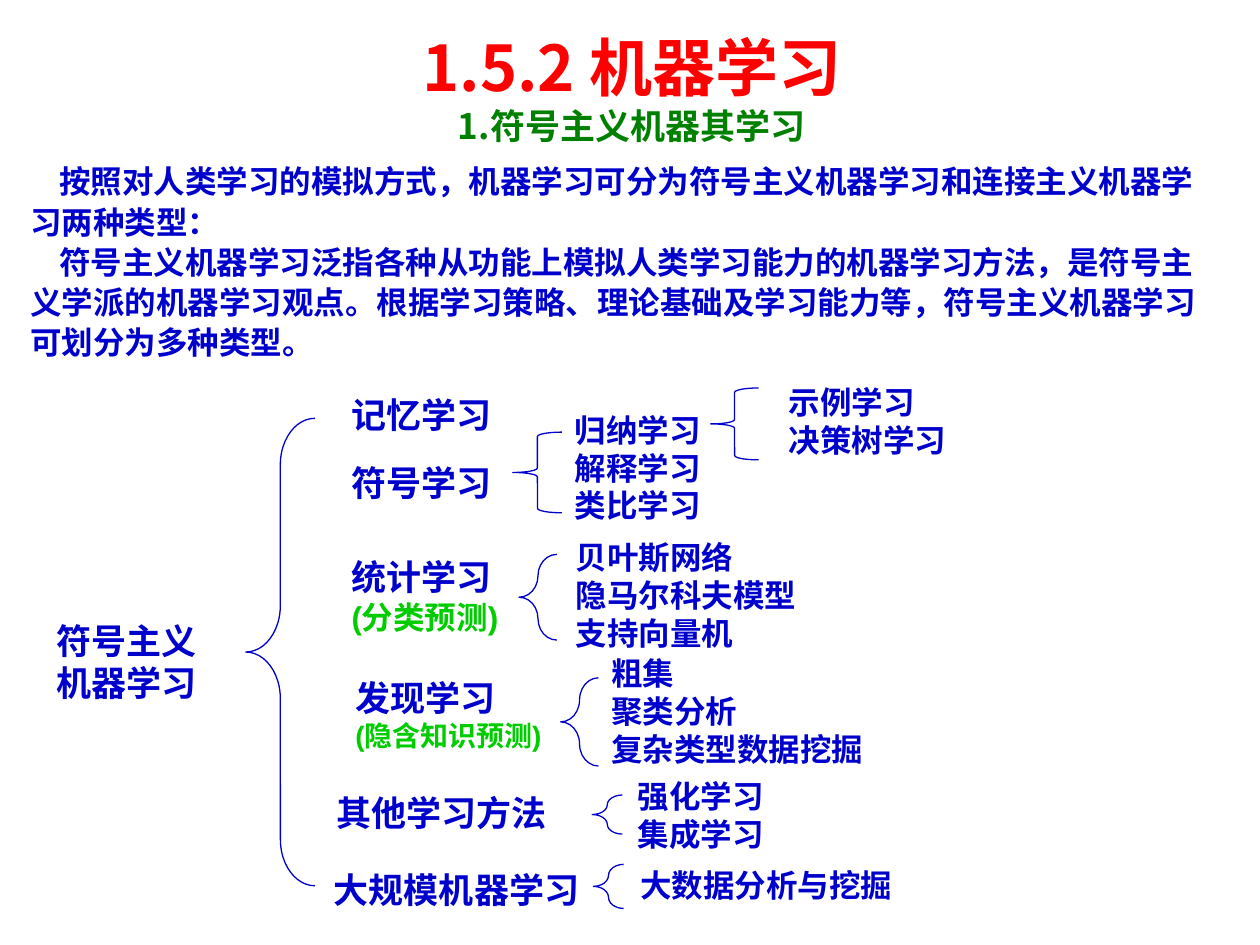
from dataclasses import dataclass

from pptx import Presentation
from pptx.dml.color import RGBColor as RGB
from pptx.enum.shapes import MSO_SHAPE as Shape
from pptx.enum.text import MSO_ANCHOR as Anchor, MSO_AUTO_SIZE as Fit, PP_ALIGN as Align
from pptx.oxml.ns import qn
from pptx.util import Inches, Pt


@dataclass(frozen=True)
class Theme:
    blue: RGB = RGB(0x00, 0x00, 0xCC)
    red: RGB = RGB(0xFF, 0x00, 0x00)
    green: RGB = RGB(0x00, 0x80, 0x00)
    lime: RGB = RGB(0x00, 0xCC, 0x00)
    latin: str = "Arial"
    cjk: str = "Noto Sans CJK SC"
    head: int = 36
    main: int = 20
    body: int = 18
    note: int = 16
    lead: int = 23
    line: float = 0.75


class Deck:
    def __init__(self, theme):
        self.theme = theme
        self.file = Presentation()
        self.file.slide_width = Inches(10)
        self.file.slide_height = Inches(7.5)
        self.slide = self.file.slides.add_slide(self.file.slide_layouts[5])

    def style(self, para, size, color, name):
        for run in para.runs:
            font = run.font
            font.size, font.bold, font.name = Pt(size), True, name
            font.color.rgb = color
            east = run._r.get_or_add_rPr().makeelement(qn("a:ea"), {"typeface": self.theme.cjk})
            font._element.find(qn("a:latin")).addnext(east)

    def frame(self, shape, lines, pad):
        frame = shape.text_frame
        frame.word_wrap = True
        frame.auto_size = Fit.NONE
        frame.vertical_anchor = Anchor.TOP
        frame.margin_left = frame.margin_right = Inches(pad)
        frame.margin_top = frame.margin_bottom = Inches(pad / 2)
        frame.text = "\n".join(lines)
        return frame.paragraphs

    def box(self, x, y, w, h, lines, pad=0.02):
        shape = self.slide.shapes.add_textbox(Inches(x), Inches(y), Inches(w), Inches(h))
        return self.frame(shape, lines, pad)

    def title(self, x, y, w, h, head, sub):
        shape = self.slide.shapes.title
        shape.left, shape.top = Inches(x), Inches(y)
        shape.width, shape.height = Inches(w), Inches(h)
        top, low = self.frame(shape, [head, sub], 0.1)
        top.alignment = low.alignment = Align.CENTER
        self.style(top, self.theme.head, self.theme.red, self.theme.cjk)
        self.style(low, self.theme.main, self.theme.green, self.theme.cjk)

    def prose(self, x, y, w, h, lines):
        for para in self.box(x, y, w, h, lines, 0.1):
            para._p.get_or_add_pPr().set("indent", str(Inches(0.23)))
            para.line_spacing = Pt(self.theme.lead)
            self.style(para, self.theme.body, self.theme.blue, self.theme.cjk)

    def topic(self, x, y, w, lines):
        for para in self.box(x, y, w, 0.03 + 0.33 * len(lines), lines):
            self.style(para, self.theme.main, self.theme.blue, self.theme.latin)

    def method(self, x, y, w, name, note, size):
        top, low = self.box(x, y, w, 0.66, [name, note])
        self.style(top, self.theme.main, self.theme.blue, self.theme.latin)
        self.style(low, size, self.theme.lime, self.theme.latin)

    def leaves(self, x, y, w, lines):
        for para in self.box(x, y, w, 0.02 + 0.3 * len(lines), lines):
            self.style(para, self.theme.body, self.theme.blue, self.theme.cjk)

    def brace(self, x, y, w, h, curve):
        shape = self.slide.shapes.add_shape(
            Shape.LEFT_BRACE, Inches(x), Inches(y), Inches(w), Inches(h))
        shape.adjustments[0] = curve
        shape.shadow.inherit = False
        shape.fill.background()
        shape.line.color.rgb = self.theme.blue
        shape.line.width = Pt(self.theme.line)


def main():
    theme = Theme()
    deck = Deck(theme)
    deck.prose(0.14, 1.22, 9.49, 1.7, [
        "按照对人类学习的模拟方式，机器学习可分为符号主义机器学习和连接主义机器学习两种类型：",
        "符号主义机器学习泛指各种从功能上模拟人类学习能力的机器学习方法，是符号主义学派的机器学习观点。"
        "根据学习策略、理论基础及学习能力等，符号主义机器学习可划分为多种类型。",
    ])
    deck.title(0.21, 0.18, 9.61, 1.04, "1.5.2 机器学习", "1.符号主义机器其学习")

    for topic in (
        (0.43, 4.91, 1.49, ["符号主义", "机器学习"]),
        (2.77, 3.11, 1.58, ["记忆学习"]),
        (2.77, 3.65, 1.58, ["符号学习"]),
        (2.65, 6.27, 1.94, ["其他学习方法"]),
        (2.63, 6.88, 2.1, ["大规模机器学习"]),
    ):
        deck.topic(*topic)

    deck.method(2.77, 4.4, 1.7, "统计学习", "(分类预测)", theme.body)
    deck.method(2.8, 5.36, 1.9, "发现学习", "(隐含知识预测)", theme.note)

    for group in (
        (4.54, 3.25, 1.7, ["归纳学习", "解释学习", "类比学习"]),
        (6.24, 3.03, 2, ["示例学习", "决策树学习"]),
        (4.55, 4.26, 2.59, ["贝叶斯网络", "隐马尔科夫模型", "支持向量机"]),
        (4.83, 5.18, 2.42, ["粗集", "聚类分析", "复杂类型数据挖掘"]),
        (5.04, 6.16, 1.58, ["强化学习", "集成学习"]),
        (5.06, 6.86, 3.62, ["大数据分析与挖掘"]),
    ):
        deck.leaves(*group)

    tight, wide = 0.09, 0.67
    for brace in (
        (1.95, 3.32, 0.55, 3.71, wide),
        (4.07, 3.43, 0.39, 0.64, tight),
        (5.64, 3.08, 0.38, 0.57, tight),
        (4.12, 4.4, 0.3, 0.68, wide),
        (4.45, 5.38, 0.3, 0.7, wide),
        (4.7, 6.31, 0.24, 0.31, wide),
        (4.71, 6.86, 0.24, 0.35, wide),
    ):
        deck.brace(*brace)

    deck.file.save("out.pptx")


if __name__ == "__main__":
    main()
